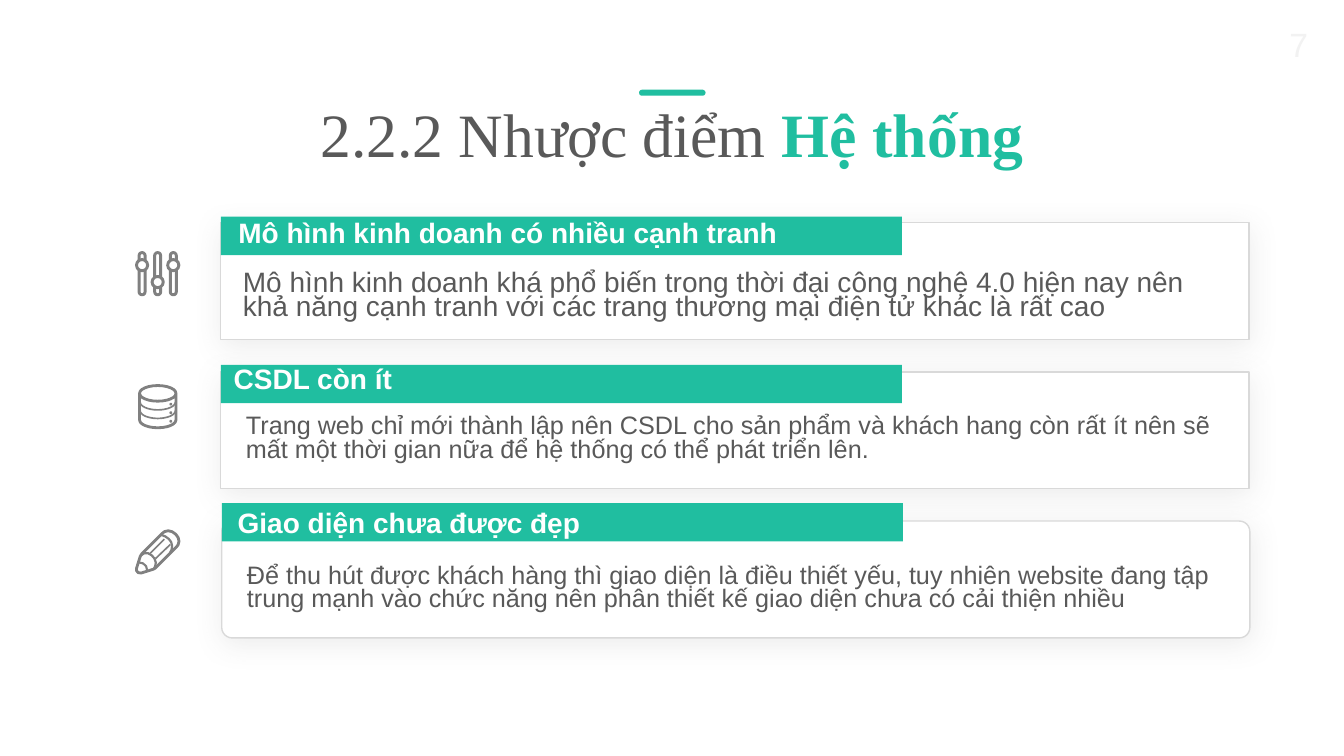
"""Build the slide on the weaknesses of the system."""
import math

import pptx
import pptx.dml.color
import pptx.enum.shapes
import pptx.enum.text
import pptx.oxml
import pptx.util

Pt = pptx.util.Pt
SHAPE = pptx.enum.shapes.MSO_SHAPE
ALIGN = pptx.enum.text.PP_ALIGN
ANCHOR = pptx.enum.text.MSO_ANCHOR
COLORS = {
    "accent": "20BEA0",
    "text": "595959",
    "border": "D9D9D9",
    "icon": "808080",
    "number": "F2F2F2",
    "white": "FFFFFF",
}
SHADOW = (
    '<a:effectLst xmlns:a="http://schemas.openxmlformats.org/drawingml/2006/main">'
    '<a:outerShdw blurRad="254000" dist="38100" dir="5400000" rotWithShape="0">'
    '<a:srgbClr val="{}"><a:alpha val="11000"/></a:srgbClr>'
    "</a:outerShdw></a:effectLst>"
)


def rgb(name):
    """Return the named colour."""
    return pptx.dml.color.RGBColor.from_string(COLORS[name])


class Deck:
    """Hold the style and the current slide."""

    def __init__(self):
        """Open a wide presentation with one title-only slide."""
        self.prs = pptx.Presentation()
        self.prs.slide_width, self.prs.slide_height = Pt(960), Pt(540)
        self.s = self.prs.slides.add_slide(self.prs.slide_layouts[5])

    def style(self, sp, fill, line, width):
        """Set fill, line and shadow of a shape."""
        sp.shadow.inherit = False
        if fill:
            sp.fill.solid()
            sp.fill.fore_color.rgb = rgb(fill)
        else:
            sp.fill.background()
        if line:
            sp.line.color.rgb = rgb(line)
            sp.line.width = Pt(width)
        else:
            sp.line.fill.background()

    def shape(self, kind, x, y, w, h, fill, line=None, width=1, adj=None):
        """Add a preset shape."""
        sp = self.s.shapes.add_shape(kind, Pt(x), Pt(y), Pt(w), Pt(h))
        self.style(sp, fill, line, width)
        if adj is not None:
            sp.adjustments[0] = adj
        return sp

    def stroke(self, points, width, close=False):
        """Add an unfilled icon line through the points."""
        pts = [(Pt(x), Pt(y)) for x, y in points]
        builder = self.s.shapes.build_freeform(*pts[0])
        builder.add_line_segments(pts[1:], close=close)
        self.style(builder.convert_to_shape(), None, "icon", width)

    def frame(self, sp, anchor=ANCHOR.TOP):
        """Prepare the text frame of a shape and return it."""
        tf = sp.text_frame
        tf.word_wrap = True
        tf.auto_size = pptx.enum.text.MSO_AUTO_SIZE.SHAPE_TO_FIT_TEXT
        tf.vertical_anchor = anchor
        return tf

    def text(self, x, y, w, h, text, size, color, bold=False,
             align=ALIGN.LEFT, spacing=None, inset=None):
        """Add a text box with one paragraph."""
        sp = self.s.shapes.add_textbox(Pt(x), Pt(y), Pt(w), Pt(h))
        tf = self.frame(sp, ANCHOR.TOP if inset is None else ANCHOR.MIDDLE)
        if inset is not None:
            tf.margin_left = tf.margin_right = Pt(inset)
            tf.margin_top = tf.margin_bottom = Pt(inset)
        p = tf.paragraphs[0]
        p.text = text
        p.alignment = align
        if spacing:
            p.line_spacing = Pt(spacing)
        p.font.name, p.font.size, p.font.bold = "Arial", Pt(size), bold
        p.font.color.rgb = rgb(color)

    def title(self, plain, strong):
        """Fill the title placeholder and add the dash above it."""
        sp = self.s.shapes.title
        sp.left, sp.top, sp.width, sp.height = Pt(61.2), Pt(74.9), Pt(837.4), Pt(50.4)
        p = self.frame(sp).paragraphs[0]
        p.alignment = ALIGN.CENTER
        p.line_spacing = 0.8
        p.font.name, p.font.size = "Times New Roman", Pt(44)
        for text, color, bold in ((plain, "text", False), (strong, "accent", True)):
            r = p.add_run()
            r.text = text
            r.font.bold = bold
            r.font.color.rgb = rgb(color)
        self.shape(SHAPE.ROUNDED_RECTANGLE, 456.5, 64.1, 47.5, 4.3, "accent", adj=0.5)

    def card(self, kind, x, y, tab_y, heading, heading_box, align, body, body_box, size):
        """Add a shadowed card with a heading tab and body text."""
        adj = 0.09 if kind == SHAPE.ROUNDED_RECTANGLE else None
        sp = self.shape(kind, x, y, 734.4, 83.5, "white", "border", adj=adj)
        props = sp.fill._xPr
        props.remove(props.effectLst)
        props.append(pptx.oxml.parse_xml(SHADOW.format(COLORS["text"])))
        self.shape(SHAPE.RECTANGLE, x, tab_y, 486.5, 27.4, "accent")
        self.text(*body_box, 702.7, 42.5, body, size, "text", spacing=17, inset=4.3)
        hx, hy, hw = heading_box
        self.text(hx, hy, hw, 31.5, heading, 20, "white", bold=True, align=align)

    def sliders(self):
        """Draw the icon with three sliders."""
        for i, knob_y in enumerate((189.4, 201.5, 189.4)):
            x = 101.5 + 11.15 * i
            self.shape(SHAPE.ROUNDED_RECTANGLE, x - 2.15, 180.4, 4.3, 30.2,
                       "white", "icon", 2.1, 0.5)
            self.shape(SHAPE.OVAL, x - 4, knob_y - 4, 8, 8, "white", "icon", 2.1)

    def database(self):
        """Draw the database icon."""
        self.shape(SHAPE.CAN, 99.7, 275.4, 26, 30.2, "white", "icon", 2, 0.43)
        angles = [math.pi * i / 16 for i in range(17)]
        for i in range(3):
            if i < 2:
                y = 287.2 + 6.1 * i
                self.stroke([(112.7 + 12.6 * math.cos(a), y + 5.6 * math.sin(a))
                             for a in angles], 1.2)
            self.shape(SHAPE.OVAL, 121, 287.7 + 6.1 * i, 2, 2, "icon")

    def pencil(self):
        """Draw the pencil icon."""
        outline = [(97.6, 405.8), (100.2, 397.4), (101.2, 395.8), (115.6, 381.3),
                   (117.6, 379.7), (120.2, 379.1), (123, 379.8), (125.6, 381.6),
                   (127.3, 384), (127.9, 386.6), (127.3, 389.1), (126, 390.8),
                   (111, 405.8), (109.6, 406.6), (100.9, 409.3), (98.8, 409.1),
                   (97.5, 407.6)]
        ferrule = [(115, 382), (118.1, 383.2), (120.6, 385), (122.3, 387.2),
                   (123, 390), (122.5, 393), (121.5, 394.8)]
        wood = [(100.6, 396.8), (103, 395.2), (105.8, 395.2), (108.4, 396.7),
                (110.4, 399), (111.3, 401.8), (110.9, 404.5), (110, 406.3)]
        lead = [(99.4, 401.8), (102.2, 402.4), (104.4, 404.5), (105.1, 407.5)]
        self.stroke(outline, 2, close=True)
        for points, width in ((ferrule, 1.6), (wood, 1.6), (lead, 1.5),
                              ([(107.3, 395.3), (117.4, 385.2)], 1.2),
                              ([(111.2, 398.9), (121.7, 388.9)], 1.2)):
            self.stroke(points, width)


def main():
    """Build and save the slide."""
    deck = Deck()
    deck.title("2.2.2 Nhược điểm ", "Hệ thống")
    deck.card(
        SHAPE.RECTANGLE, 157.7, 159.1, 154.8,
        "Mô hình kinh doanh có nhiều cạnh tranh", (98.6, 150.5, 528.5), ALIGN.CENTER,
        "Mô hình kinh doanh khá phổ biến trong thời đại công nghệ 4.0 hiện nay nên "
        "khả năng cạnh tranh với các trang thương mại điện tử khác là rất cao",
        (169.2, 191.5), 20)
    deck.card(
        SHAPE.RECTANGLE, 157.7, 265.7, 260.6,
        "CSDL còn ít", (159.8, 254.9, 477.4), ALIGN.LEFT,
        "Trang web chỉ mới thành lập nên CSDL cho sản phẩm và khách hang còn rất ít "
        "nên sẽ mất một thời gian nữa để hệ thống có thể phát triển lên.",
        (171.4, 293), 18)
    deck.card(
        SHAPE.ROUNDED_RECTANGLE, 158.4, 372.2, 359.3,
        "Giao diện chưa được đẹp", (162.7, 357.8, 477.4), ALIGN.LEFT,
        "Để thu hút được khách hàng thì giao diện là điều thiết yếu, tuy nhiên website "
        "đang tập trung mạnh vào chức năng nên phân thiết kế giao diện chưa có cải "
        "thiện nhiều",
        (172.1, 399.6), 18)
    deck.sliders()
    deck.database()
    deck.pencil()
    deck.text(900, 13.6, 41.5, 36, "7", 24, "number", align=ALIGN.RIGHT)
    deck.prs.save("out.pptx")


if __name__ == "__main__":
    main()
